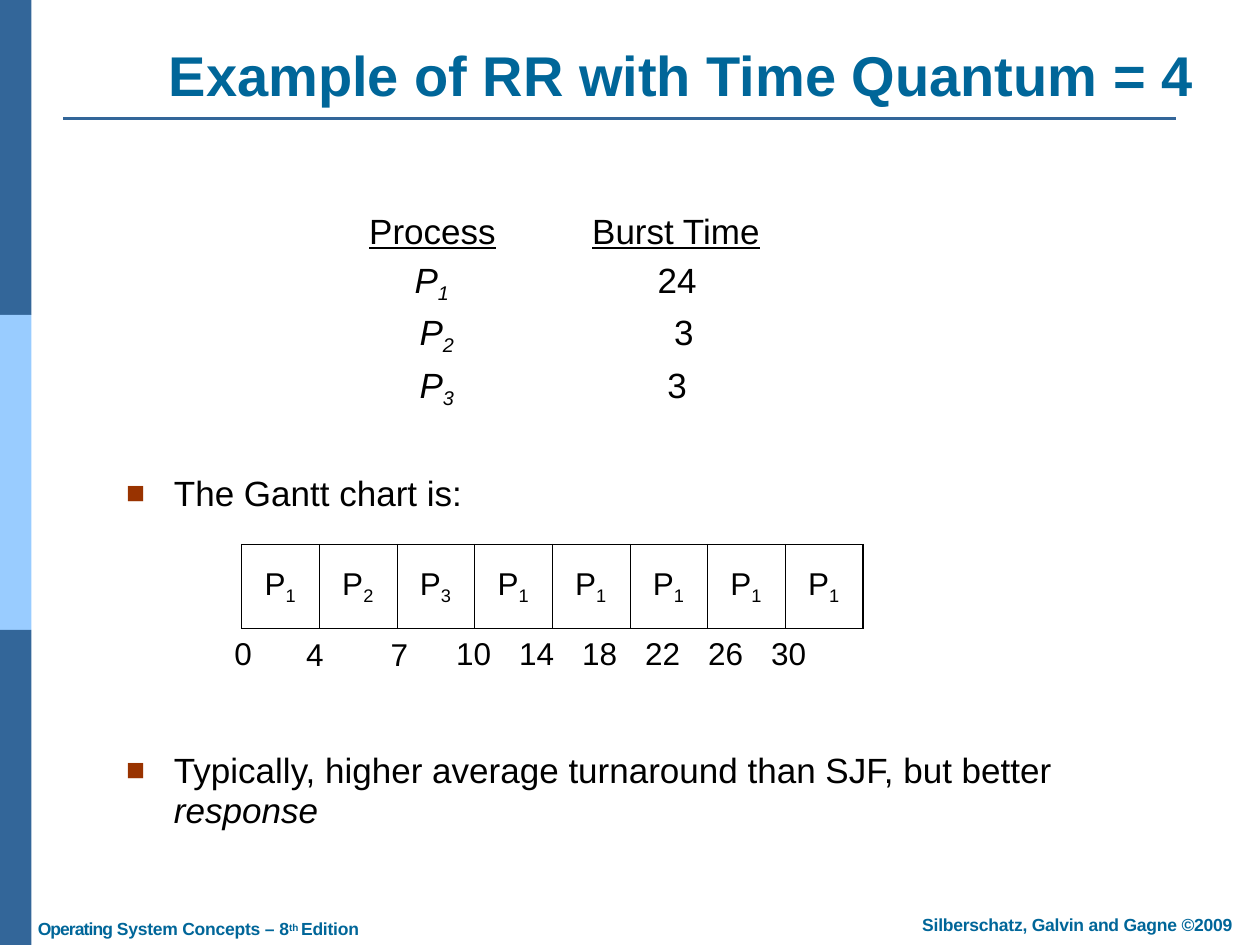
from pptx import Presentation
from pptx.dml.color import RGBColor
from pptx.enum.shapes import MSO_CONNECTOR, MSO_SHAPE
from pptx.enum.text import PP_ALIGN
from pptx.oxml import parse_xml
from pptx.oxml.ns import nsdecls, qn
from pptx.util import Inches, Pt

RECT = MSO_SHAPE.RECTANGLE
LINE = MSO_CONNECTOR.STRAIGHT
CENTER = PP_ALIGN.CENTER

THEME = {
    "font": "Arial", "head": "006699", "dark": "336699", "light": "99CCFF",
    "ink": "000000", "mark": "993300",
    "title": 32, "body": 20, "chart": 18, "foot": 10, "sub": 19.5,
}

SUB = {"base": -21}
TITLE = [("Example of RR with Time Quantum = 4", {})]
FOOT = [
    ("Operating ", {"space": -0.5}),
    ("System Concepts –", {"space": -0.1}),
    (" 8", {}),
    ("th ", {"size": 9.8, "base": 26}),
    ("Edition", {"space": -0.1}),
]
CREDIT = [("Silberschatz, Galvin and Gagne ©2009", {"space": -0.1})]
GANTT = [("The Gantt chart is:", {})]
NOTE = [("Typically, higher average turnaround than SJF, but better", {})]
NOTE_END = [("response", {"italic": True})]
HEADS = [("Process", 0.03), ("Burst Time", 0.38)]
JOBS = [
    ("1", "24", 0.39, 0.9, 0.03),
    ("2", "3", 0.43, 1.03, 0),
    ("3", "3", 0.43, 0.35, 0),
]
COLS = [1.42, 1.76]
ROWS = [0.36, 0.44, 0.42, 0.39]
SLOTS = ["1", "2", "3", "1", "1", "1", "1", "1"]
SLOT_W, SLOT_H = 4.93 / len(SLOTS), 0.67
TIMES = [("0", 1.85, 5.02), ("4", 2.42, 5.03), ("7", 3.09, 5.03)]
LATER = ["10", "14", "18", "22", "26", "30"]
STOPS = [0.69, 1.27, 1.78, 2.45, 3.03]


def color(name):
    return RGBColor.from_string(THEME[name])


def write(para, runs, size, ink="ink", bold=False):
    for text, look in runs:
        run = para.add_run()
        run.text = text
        font = run.font
        font.name = THEME["font"]
        font.size = Pt(look.get("size", THEME[size]))
        font.color.rgb = color(ink)
        font.bold = bold
        font.italic = look.get("italic", False)
        font.underline = look.get("under", False)
        props = run._r.get_or_add_rPr()
        if "base" in look:
            props.set("baseline", str(look["base"] * 1000))
        if "space" in look:
            props.set("spc", str(round(look["space"] * 100)))


def indent(para, left, first=0):
    props = para._p.get_or_add_pPr()
    props.set("marL", str(Inches(left)))
    props.set("indent", str(Inches(first)))
    return props


def box(slide, at, top=0.01):
    frame = slide.shapes.add_textbox(*map(Inches, at)).text_frame
    frame.word_wrap = True
    frame.margin_left = frame.margin_right = frame.margin_bottom = 0
    frame.margin_top = Inches(top)
    return frame


def label(slide, at, runs, size, ink="ink", bold=False, top=0.01):
    para = box(slide, at, top).paragraphs[0]
    indent(para, 0.01)
    write(para, runs, size, ink, bold)
    return para


def bullet(slide, at, runs, pitch=None):
    frame = box(slide, at)
    para = frame.paragraphs[0]
    para.line_spacing = pitch
    props = indent(para, 0.39, -0.38)
    for part in (
        f'<a:buClr {nsdecls("a")}><a:srgbClr val="{THEME["mark"]}"/></a:buClr>',
        f'<a:buSzPct {nsdecls("a")} val="90000"/>',
        f'<a:buFont {nsdecls("a")} typeface="{THEME["font"]}"/>',
        f'<a:buChar {nsdecls("a")} char="■"/>',
    ):
        props.append(parse_xml(part))
    write(para, runs, "body")
    return frame


def grid(slide, left, top, cols, rows):
    size = map(Inches, (left, top, sum(cols), sum(rows)))
    table = slide.shapes.add_table(len(rows), len(cols), *size).table
    table.first_row = table.horz_banding = False
    for col, width in zip(table.columns, cols):
        col.width = Inches(width)
    for row, height in zip(table.rows, rows):
        row.height = Inches(height)
    return table


def fill_cell(cell, runs, size, left, top=0, edge=False):
    cell.margin_left = cell.margin_right = cell.margin_bottom = 0
    cell.margin_top = Inches(top)
    if edge:
        props = cell._tc.get_or_add_tcPr()
        for side in "LRTB":
            props.append(parse_xml(
                f'<a:ln{side} {nsdecls("a")} w="{Pt(0.75)}"><a:solidFill>'
                f'<a:srgbClr val="{THEME["ink"]}"/></a:solidFill></a:ln{side}>'))
    cell.fill.background()
    para = cell.text_frame.paragraphs[0]
    indent(para, left)
    write(para, runs, size)
    return para


def frame_page(slide):
    for i, tone in enumerate(["dark", "light", "dark"]):
        bar = slide.shapes.add_shape(
            RECT, 0, Inches(2.5 * i), Inches(0.25), Inches(2.5))
        bar.shadow.inherit = False
        bar.fill.solid()
        bar.fill.fore_color.rgb = color(tone)
        bar.line.fill.background()
    rule = slide.shapes.add_connector(LINE, *map(Inches, (0.5, 0.94, 9.33, 0.94)))
    rule.line.color.rgb = color("dark")
    rule.line.width = Pt(1.56)
    rule._element.spPr.append(parse_xml(f'<a:effectLst {nsdecls("a")}/>'))
    label(slide, (1.33, 0.31, 8.2, 0.56), TITLE, "title", "head", True)
    foot = label(slide, (0.3, 7.29, 4.73, 0.17), FOOT, "foot", "head", True, 0)
    foot.line_spacing = Pt(11.7)
    indent(foot, 0)
    label(slide, (7.31, 7.25, 2.54, 0.18), CREDIT, "foot", "head", True, 0)


def job_table(slide):
    table = grid(slide, 2.9, 1.69, COLS, ROWS)
    for i, (text, left) in enumerate(HEADS):
        para = fill_cell(table.cell(0, i), [(text, {"under": True})], "body", left)
        para.line_spacing = Pt(22.1)
    for i, (job, burst, left, shift, top) in enumerate(JOBS, 1):
        name = [("P", {"italic": True}),
                (job, {**SUB, "italic": True, "size": THEME["sub"]})]
        fill_cell(table.cell(i, 0), name, "body", left, top)
        para = fill_cell(table.cell(i, 1), [(burst, {})], "body", shift, top)
    para.alignment = CENTER


def gantt(slide):
    table = grid(slide, 1.92, 4.32, [SLOT_W] * len(SLOTS), [SLOT_H])
    for i, job in enumerate(SLOTS):
        fill_cell(table.cell(0, i), [("P", {}), (job, SUB)], "chart", 0.18, 0.18, True)
    for text, left, top in TIMES:
        label(slide, (left, top, 0.17, 0.33), [(text, {})], "chart")
    para = label(slide, (3.61, 5.02, 3.33, 0.33), [("\t".join(LATER), {})], "chart")
    props = para._p.get_or_add_pPr()
    tabs = props.makeelement(qn("a:tabLst"), {})
    for stop in STOPS:
        tabs.append(tabs.makeelement(
            qn("a:tab"), {"pos": str(Inches(stop)), "algn": "l"}))
    props.append(tabs)


def main():
    deck = Presentation()
    deck.slide_width, deck.slide_height = Inches(10), Inches(7.5)
    slide = deck.slides.add_slide(deck.slide_layouts[6])
    frame_page(slide)
    job_table(slide)
    bullet(slide, (0.99, 3.73, 2.68, 0.36), GANTT)
    frame = bullet(slide, (0.99, 5.95, 7.42, 0.66), NOTE, Pt(22.8))
    last = frame.add_paragraph()
    last.line_spacing = Pt(22.8)
    indent(last, 0.39)
    write(last, NOTE_END, "body")
    gantt(slide)
    deck.save("out.pptx")


if __name__ == "__main__":
    main()
